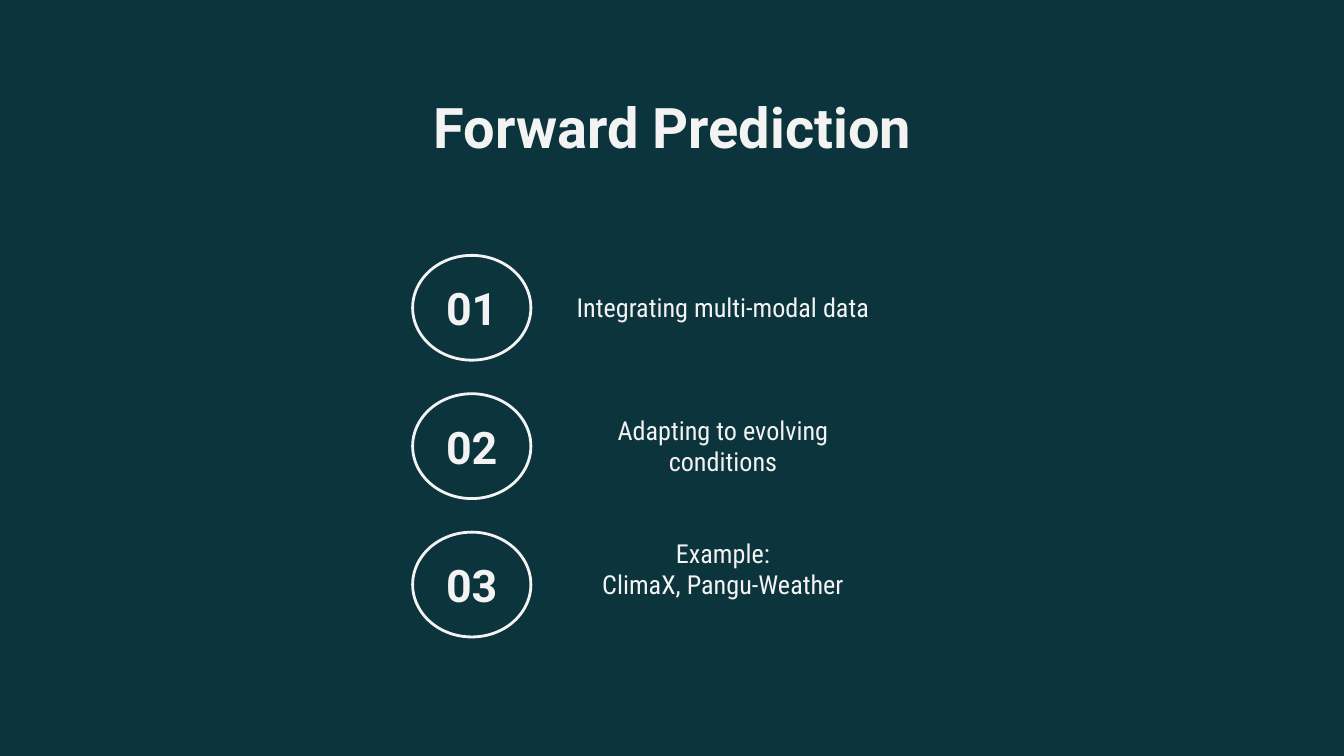
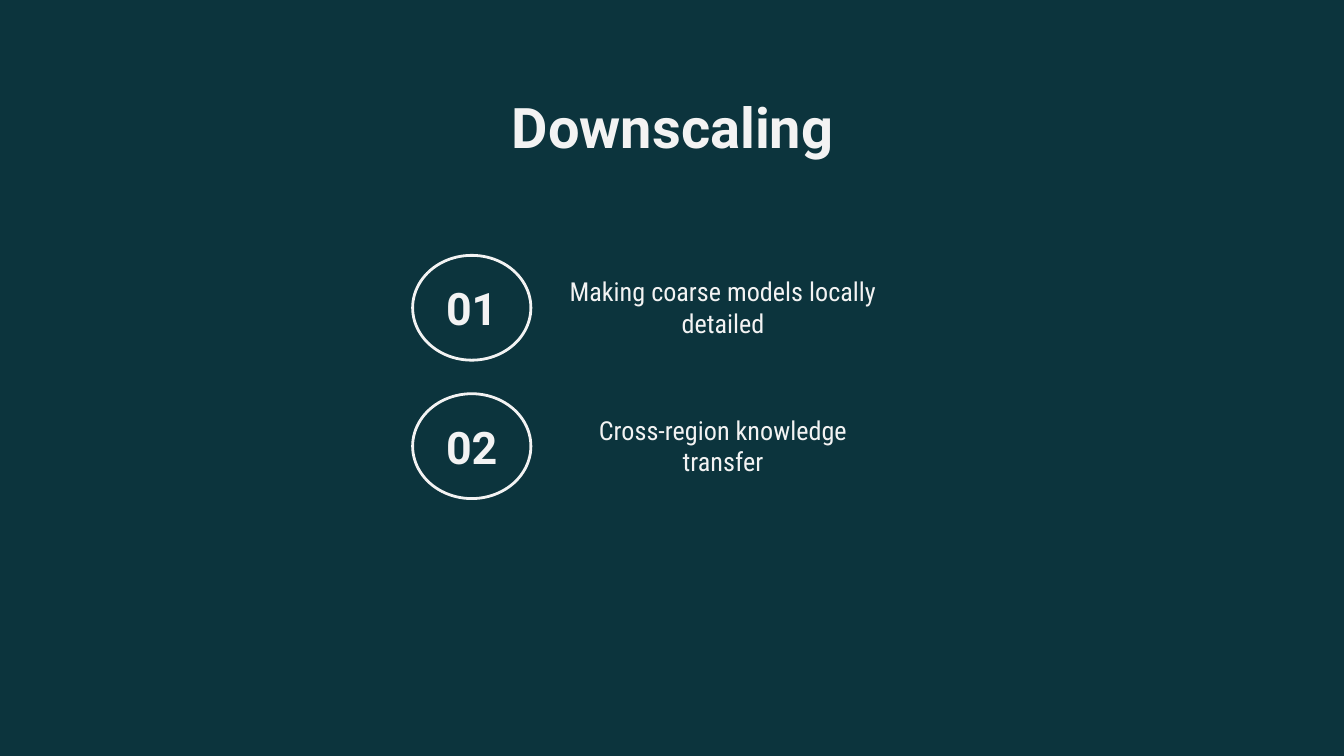
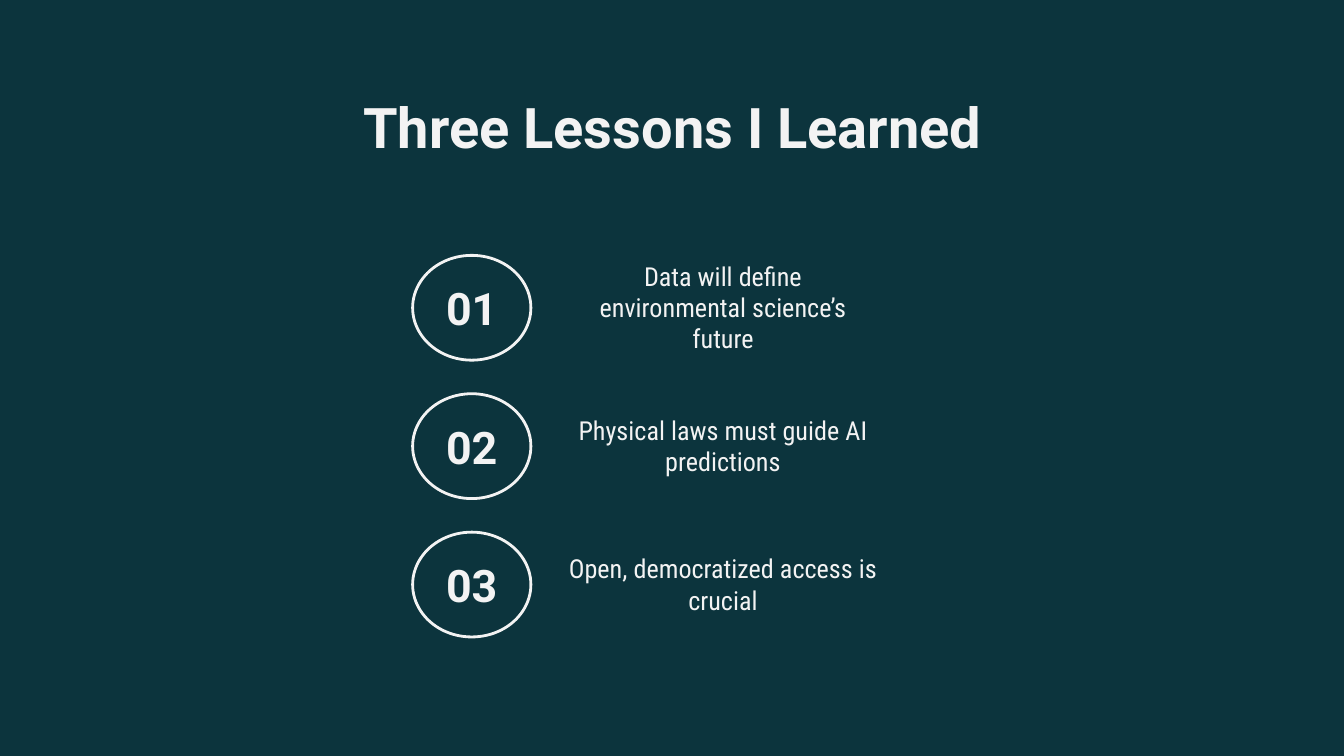
"""Build three numbered-list slides that share one dark theme."""
import pptx
import pptx.dml.color
import pptx.enum.shapes
import pptx.enum.text
import pptx.util

Inches = pptx.util.Inches
Pt = pptx.util.Pt
RGBColor = pptx.dml.color.RGBColor
ANCHOR = pptx.enum.text.MSO_ANCHOR

SLIDES = [
    ("Forward Prediction", [
        ["Integrating multi-modal data"],
        ["Adapting to evolving conditions"],
        ["Example:", "ClimaX, Pangu-Weather"],
    ]),
    ("Downscaling", [
        ["Making coarse models locally detailed"],
        ["Cross-region knowledge transfer"],
    ]),
    ("Three Lessons I Learned", [
        ["Data will define environmental science’s future"],
        ["Physical laws must guide AI predictions"],
        ["Open, democratized access is crucial"],
    ]),
]

TEAL = RGBColor(0x0C, 0x34, 0x3D)
LIGHT = RGBColor(0xF3, 0xF3, 0xF3)

TITLE_FONT = {"name": "Roboto", "size": Pt(30), "bold": True}
NUMBER_FONT = {"name": "Roboto", "size": Pt(24), "bold": True}
LABEL_FONT = {"name": "Roboto Condensed", "size": Pt(14), "bold": False}

SLIDE_WIDTH = 10
TITLE_BOX = (0.79, 0.59, 8.43, 0.63)
FIRST_TOP, ROW_STEP = 1.9, 1.03
OVAL_LEFT, OVAL_WIDTH, OVAL_HEIGHT = 3.07, 0.88, 0.78
LABEL_LEFT, LABEL_WIDTH, LABEL_HEIGHT = 4.13, 2.5, 0.53
LABEL_OFFSET = 0.12
INSET, LABEL_LINE = 0.1, 0.23


def write(shape, lines, font, anchor):
    tf = shape.text_frame
    tf.text = "\n".join(lines)
    frame = {"word_wrap": True, "vertical_anchor": anchor,
             "auto_size": pptx.enum.text.MSO_AUTO_SIZE.NONE}
    for side in ("left", "top", "right", "bottom"):
        frame["margin_" + side] = Inches(INSET)
    for key, value in frame.items():
        setattr(tf, key, value)
    for p in tf.paragraphs:
        p.alignment = pptx.enum.text.PP_ALIGN.CENTER
        for r in p.runs:
            for key, value in font.items():
                setattr(r.font, key, value)
            r.font.color.rgb = LIGHT


def add_title(s, title):
    shape = s.shapes.title
    for key, value in zip(("left", "top", "width", "height"), TITLE_BOX):
        setattr(shape, key, Inches(value))
    write(shape, [title], TITLE_FONT, ANCHOR.TOP)


def add_item(s, index, lines):
    top = FIRST_TOP + index * ROW_STEP
    group = s.shapes.add_group_shape()
    label = group.shapes.add_textbox(
        Inches(LABEL_LEFT), Inches(top + LABEL_OFFSET),
        Inches(LABEL_WIDTH), Inches(LABEL_HEIGHT))
    write(label, lines, LABEL_FONT, ANCHOR.MIDDLE)
    if len(lines) > 1:
        label.text_frame.margin_bottom = Inches(INSET + LABEL_LINE)

    oval = group.shapes.add_shape(
        pptx.enum.shapes.MSO_SHAPE.OVAL, Inches(OVAL_LEFT), Inches(top),
        Inches(OVAL_WIDTH), Inches(OVAL_HEIGHT))
    oval.shadow.inherit = False
    oval.fill.background()
    oval.line.color.rgb = LIGHT
    oval.line.width = Pt(1.5)
    write(oval, [f"{index + 1:02d}"], NUMBER_FONT, ANCHOR.MIDDLE)


def main():
    prs = pptx.Presentation()
    prs.slide_width = Inches(SLIDE_WIDTH)
    prs.slide_height = Inches(SLIDE_WIDTH * 9 / 16)
    fill = prs.slide_master.background.fill
    fill.solid()
    fill.fore_color.rgb = TEAL
    for title, items in SLIDES:
        s = prs.slides.add_slide(prs.slide_layouts.get_by_name("Title Only"))
        add_title(s, title)
        for index, lines in enumerate(items):
            add_item(s, index, lines)
    prs.save("out.pptx")


if __name__ == "__main__":
    main()
